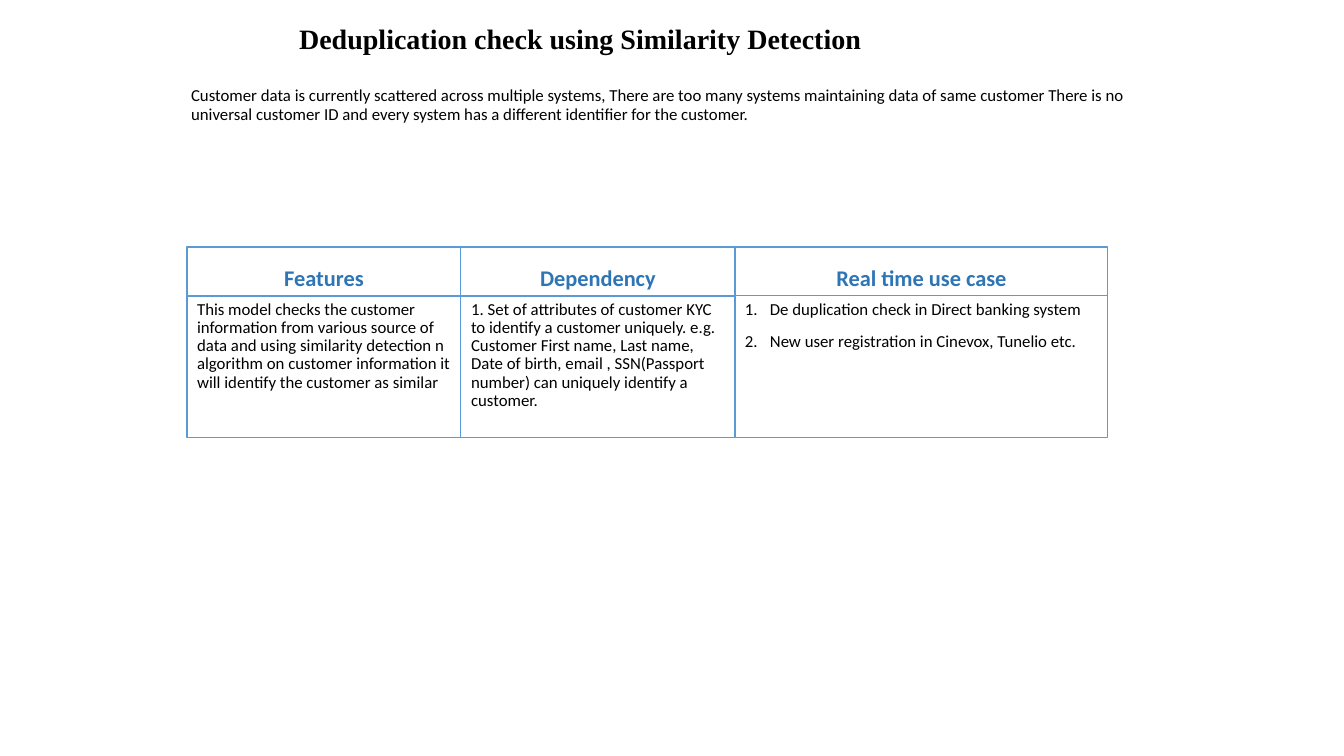
from dataclasses import dataclass

from lxml.etree import SubElement
from pptx import Presentation
from pptx.dml.color import RGBColor
from pptx.enum.text import MSO_ANCHOR, MSO_AUTO_SIZE, PP_ALIGN
from pptx.oxml.ns import qn
from pptx.util import Emu, Pt


@dataclass(frozen=True)
class Theme:
    """Colours, fonts and type sizes of the slide."""
    ink: RGBColor = RGBColor(0x00, 0x00, 0x00)
    head: RGBColor = RGBColor(0x2E, 0x75, 0xB6)
    line: RGBColor = RGBColor(0x5B, 0x9B, 0xD5)
    serif: str = "Times New Roman"
    sans: str = "Calibri"
    title: int = 20
    label: int = 16
    text: int = 12
    rule: float = 0.75


THEME = Theme()
SCALE = 12192000 / 1344
LEFT, TOP = 187, 247
HEAD, BODY = 49, 142
INDENT = 25
COLUMNS = [
    (274, "Features", [
        "This model checks the customer information from various source of data "
        "and using similarity detection n algorithm on customer information it "
        "will identify the customer as similar"]),
    (274, "Dependency", [
        "1. Set of attributes of customer KYC to identify a customer uniquely. "
        "e.g. Customer First name, Last name, Date of birth, email , "
        "SSN(Passport number) can uniquely identify a customer."]),
    (373, "Real time use case", [
        "De duplication check in Direct banking system",
        "New user registration in Cinevox, Tunelio etc."]),
]
TITLE = "Deduplication check using Similarity Detection"
INTRO = ("Customer data is currently scattered across multiple systems, There are "
         "too many systems maintaining data of same customer There is no universal "
         "customer ID and every system has a different identifier for the customer.")


def px(count):
    """Turn picture pixels into EMU."""
    return Emu(round(count * SCALE))


def place(shape, left, top, width, height, anchor):
    """Move a shape and fix its text frame."""
    shape.left, shape.top = px(left), px(top)
    shape.width, shape.height = px(width), px(height)
    frame = shape.text_frame
    frame.word_wrap = True
    frame.auto_size = MSO_AUTO_SIZE.NONE
    frame.vertical_anchor = anchor
    return frame


def style(para, size, font=THEME.sans, color=THEME.ink, bold=False,
          align=PP_ALIGN.LEFT, before=10):
    """Set the spacing and type of a paragraph."""
    para.alignment = align
    para.line_spacing = 0.9
    para.space_before = Pt(before)
    para.font.name = font
    para.font.size = Pt(size)
    para.font.bold = bold
    para.font.color.rgb = color


def mark(para, left=0, hang=0, number=False):
    """Set the indent of a paragraph and number it or clear its bullet."""
    props = para._p.get_or_add_pPr()
    props.set("marL", str(px(left)))
    props.set("indent", str(px(-hang)))
    if number:
        SubElement(props, qn("a:buFont"), typeface="+mj-lt")
        SubElement(props, qn("a:buAutoNum"), type="arabicPeriod")
    else:
        SubElement(props, qn("a:buNone"))


def frame_box(shape):
    """Outline a cell of the grid."""
    shape.line.color.rgb = THEME.line
    shape.line.width = Pt(THEME.rule)


def add_title(shape):
    """Fill the title with the heading and the introduction."""
    frame = place(shape, 181, 10, 1008, 160, MSO_ANCHOR.TOP)
    frame.margin_top = px(15)
    frame.text = f"{TITLE}\n{INTRO}"
    heading, intro = frame.paragraphs
    mark(heading, left=108)
    style(heading, THEME.title, THEME.serif, bold=True, before=0)
    mark(intro)
    style(intro, THEME.text, before=23)


def add_label(shape, left, width, label):
    """Fill the head of a column."""
    frame = place(shape, left, TOP, width, HEAD, MSO_ANCHOR.BOTTOM)
    frame_box(shape)
    frame.text = label
    para = frame.paragraphs[0]
    mark(para)
    style(para, THEME.label, color=THEME.head, bold=True, align=PP_ALIGN.CENTER)


def add_body(shape, left, width, lines):
    """Fill the body of a column, with numbers when it has many lines."""
    frame = place(shape, left, TOP + HEAD, width, BODY, MSO_ANCHOR.TOP)
    frame_box(shape)
    frame.text = "\n".join(lines)
    many = len(lines) > 1
    hang = INDENT if many else 0
    for para in frame.paragraphs:
        mark(para, hang, hang, many)
        style(para, THEME.text)


def main():
    """Build the slide and save it."""
    deck = Presentation()
    deck.slide_width, deck.slide_height = px(1344), px(756)
    slide = deck.slides.add_slide(deck.slide_layouts.get_by_name("Comparison"))
    add_title(slide.shapes.title)
    cells = [item for item in slide.placeholders if item.placeholder_format.idx]
    cells += [slide.shapes.add_textbox(0, 0, 0, 0) for _ in range(2)]
    left = LEFT
    for (width, label, lines), head, body in zip(COLUMNS, cells[::2], cells[1::2]):
        add_label(head, left, width, label)
        add_body(body, left, width, lines)
        left += width
    deck.save("out.pptx")


if __name__ == "__main__":
    main()
